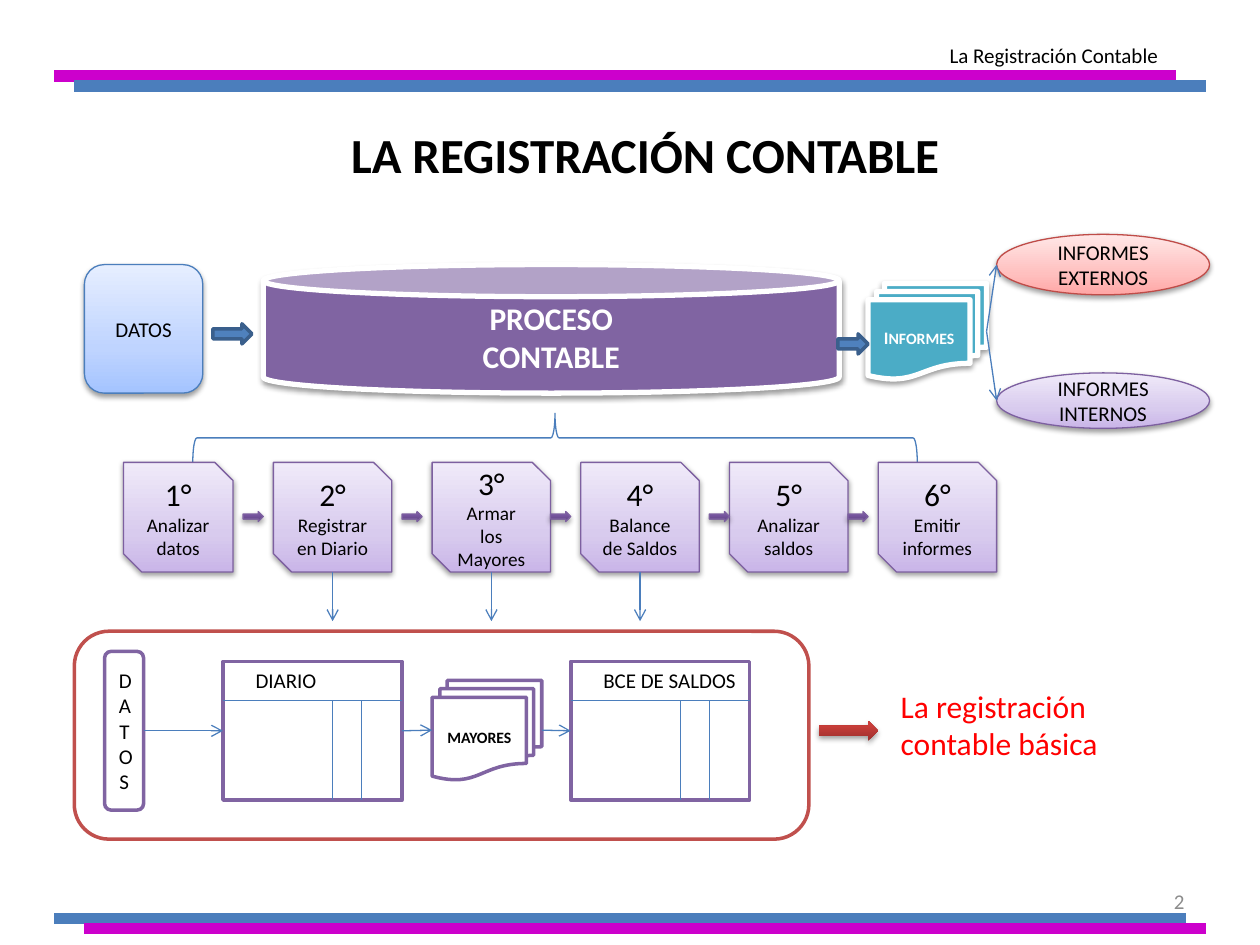
from copy import deepcopy

from lxml import etree
from pptx import Presentation
from pptx import util as u
from pptx.dml.color import RGBColor
from pptx.enum import shapes, text
from pptx.oxml.ns import qn


class Theme:
    font = "Calibri"
    black, white, grey, red = "000000", "FFFFFF", "8C8C8C", "FF0000"
    magenta, blue, purple, teal, brick = "CC00CC", "4B7EBC", "8064A2", "4BACC6", "C0504D"
    arrow_blue, arrow_edge = "4F81BD", "3A5F8C"
    violet_edge, rose_edge = "7D60A0", "BF4C48"
    sky = [(0, "A4C4FF"), (0.35, "BFD4FF"), (1, "E6EEFF")]
    rose = [(0, "FFA6A5"), (0.35, "FFC0BF"), (1, "FFE7E7")]
    lilac = [(0, "C9B5E8"), (0.35, "D8CBEE"), (1, "F0EAF9")]
    violet = [(0, "5F4480"), (0.8, "7B58A6"), (1, "7C57A8")]
    crimson = [(0, "9C2F2D"), (0.8, "CB3E3A"), (1, "CE3B37")]
    title, large, body, step, informes, small = 28, 18, 12, 11, 10, 9
    hair, medium, thick, band = 0.75, 2, 3, 6.75


KIND = shapes.MSO_SHAPE
LEFT, CENTER, RIGHT = text.PP_ALIGN.LEFT, text.PP_ALIGN.CENTER, text.PP_ALIGN.RIGHT
TOP, MIDDLE = text.MSO_ANCHOR.TOP, text.MSO_ANCHOR.MIDDLE

prs = Presentation()
prs.slide_width, prs.slide_height = u.Inches(10), u.Inches(7.5)
slide = prs.slides.add_slide(prs.slide_layouts[6])


def block(kind, box, words="", sizes=(Theme.body,), color=Theme.black, bold=False,
          fill=None, edge=None, weight=Theme.hair, shadow=False, align=CENTER, anchor=MIDDLE):
    frame = [u.Inches(v) for v in box]
    if kind is None:
        item = slide.shapes.add_textbox(*frame)
    else:
        item = slide.shapes.add_shape(kind, *frame)
        item.shadow.inherit = False
        if fill is None:
            item.fill.background()
        elif isinstance(fill, str):
            item.fill.solid()
            item.fill.fore_color.rgb = RGBColor.from_string(fill)
        else:
            item.fill.gradient()
            item.fill.gradient_angle = 90
            stops = item._element.spPr.find(".//" + qn("a:gsLst"))
            stops.append(deepcopy(stops[-1]))
            for stop, (position, tone) in zip(item.fill.gradient_stops, fill):
                stop.position = position
                stop.color.rgb = RGBColor.from_string(tone)
        if edge:
            item.line.color.rgb = RGBColor.from_string(edge)
            item.line.width = u.Pt(weight)
        else:
            item.line.fill.background()
        if shadow:
            effects = item._element.spPr.find(qn("a:effectLst"))
            cast = etree.SubElement(effects, qn("a:outerShdw"), blurRad="40000", dist="20000",
                                    dir="5400000", rotWithShape="0")
            tone = etree.SubElement(cast, qn("a:srgbClr"), val=Theme.black)
            etree.SubElement(tone, qn("a:alpha"), val="38000")
    frame = item.text_frame
    frame.word_wrap = True
    frame.vertical_anchor = anchor
    frame.text = words
    for i, paragraph in enumerate(frame.paragraphs):
        paragraph.alignment = align
        for run in paragraph.runs:
            run.font.name = Theme.font
            run.font.size = u.Pt(sizes[min(i, len(sizes) - 1)])
            run.font.bold = bold
            run.font.color.rgb = RGBColor.from_string(color)
    return item


def rule(start, end, color=Theme.blue, weight=Theme.hair, arrow=False):
    line = slide.shapes.add_connector(shapes.MSO_CONNECTOR.STRAIGHT,
                                      *[u.Inches(v) for v in (*start, *end)])
    line.line.color.rgb = RGBColor.from_string(color)
    line.line.width = u.Pt(weight)
    if arrow:
        etree.SubElement(line.line._get_or_add_ln(), qn("a:tailEnd"), type="arrow")
    etree.SubElement(line._element.spPr, qn("a:effectLst"))
    return line


for left, right, y, color in [(0.43, 9.33, 0.6, Theme.magenta), (0.59, 9.57, 0.68, Theme.blue),
                              (0.43, 9.41, 7.29, Theme.blue), (0.67, 9.57, 7.37, Theme.magenta)]:
    rule((left, y), (right, y), color, Theme.band)
block(None, (7.17, 6.95, 2.33, 0.4), "2", color=Theme.grey, align=RIGHT)
block(None, (0.83, 0.76, 8.58, 0.92), "LA REGISTRACIÓN CONTABLE", [Theme.title], bold=True)
block(None, (4.29, 0.29, 5, 0.3), "La Registración Contable", align=RIGHT, anchor=TOP)

block(KIND.ROUNDED_RECTANGLE, (0.67, 2.1, 0.94, 1.02), "DATOS",
      fill=Theme.sky, edge=Theme.blue, shadow=True)
block(KIND.CAN, (2.09, 2.1, 4.57, 1.02), "PROCESO\nCONTABLE", [Theme.large], Theme.white, True,
      fill=Theme.purple, edge=Theme.white, weight=Theme.thick, shadow=True)
informes = block(KIND.FLOWCHART_MULTIDOCUMENT, (6.89, 2.25, 0.94, 0.76), "I", [Theme.informes],
                 Theme.white, True, fill=Theme.teal, edge=Theme.white,
                 weight=Theme.thick, shadow=True)
ending = informes.text_frame.paragraphs[0].add_run()
ending.text = "NFORMES"
ending.font.name, ending.font.size, ending.font.bold = Theme.font, u.Pt(Theme.small), True
ending.font.color.rgb = RGBColor.from_string(Theme.white)

for box in [(1.69, 2.57, 0.31, 0.16), (6.65, 2.65, 0.24, 0.16)]:
    block(KIND.RIGHT_ARROW, box, fill=Theme.arrow_blue, edge=Theme.arrow_edge, weight=Theme.medium)
for top, height, words, fill, edge in [
        (1.86, 0.48, "INFORMES EXTERNOS", Theme.rose, Theme.rose_edge),
        (2.96, 0.44, "INFORMES INTERNOS", Theme.lilac, Theme.violet_edge)]:
    block(KIND.OVAL, (7.91, top, 1.69, height), words, fill=fill, edge=edge, shadow=True)
    rule((7.83, 2.63), (7.91, top + height / 2), arrow=True)

brace = block(KIND.RIGHT_BRACE, (4.21, 0.6, 0.39, 5.75), edge=Theme.blue)
brace.rotation = 270

steps = [(0.98, 0.87, "Analizar datos"), (2.17, 0.94, "Registrar en Diario"),
         (3.43, 0.94, "Armar los Mayores"), (4.61, 0.94, "Balance de Saldos"),
         (5.79, 0.94, "Analizar saldos"), (6.97, 0.94, "Emitir informes")]
for number, (left, width, words) in enumerate(steps, 1):
    block(KIND.SNIP_2_DIAG_RECTANGLE, (left, 3.67, width, 0.87), f"{number}°\n{words}",
          [Theme.large, Theme.step], fill=Theme.lilac, edge=Theme.violet_edge, shadow=True)
    if number in (2, 3, 4):
        center = left + width / 2
        rule((center, 4.54), (center, 4.93), arrow=True)
for left in (1.93, 3.19, 4.37, 5.63, 6.73):
    block(KIND.RIGHT_ARROW, (left, 4.06, 0.16, 0.08),
          fill=Theme.violet, edge=Theme.violet_edge, shadow=True)

datos = block(KIND.ROUNDED_RECTANGLE, (0.83, 5.17, 0.31, 1.26), "DATOS",
              fill=Theme.white, edge=Theme.purple, weight=Theme.medium)
mayores = block(KIND.FLOWCHART_MULTIDOCUMENT, (3.43, 5.4, 0.87, 0.79), "MAYORES", [Theme.small],
                bold=True, fill=Theme.white, edge=Theme.purple, weight=Theme.medium)
ledgers = []
for left, words, width in [(1.77, "DIARIO", 0.87), (4.53, "BCE DE SALDOS", 1.26)]:
    ledgers.append(block(KIND.RECTANGLE, (left, 5.25, 1.42, 1.1), fill=Theme.white,
                         edge=Theme.purple, weight=Theme.medium))
    rule((left, 5.56), (left + 1.42, 5.56))
    for column in (left + 0.87, left + 1.1):
        rule((column, 5.56), (column, 6.35))
    block(None, (left + 0.16, 5.25, width, 0.3), words, align=LEFT, anchor=TOP)

diario, saldos = ledgers
for source, target in [(datos, diario), (diario, mayores), (mayores, saldos)]:
    flow = rule((0, 0), (1, 0), arrow=True)
    flow.begin_connect(source, 3)
    flow.end_connect(target, 1)

block(KIND.ROUNDED_RECTANGLE, (0.59, 5.01, 5.83, 1.65), edge=Theme.brick, weight=Theme.medium)
block(KIND.RIGHT_ARROW, (6.5, 5.72, 0.47, 0.16), fill=Theme.crimson, shadow=True)
block(None, (7.05, 5.4, 2.44, 0.71), "La registración contable básica", [Theme.large],
      Theme.red, align=LEFT, anchor=TOP)

prs.save("out.pptx")
